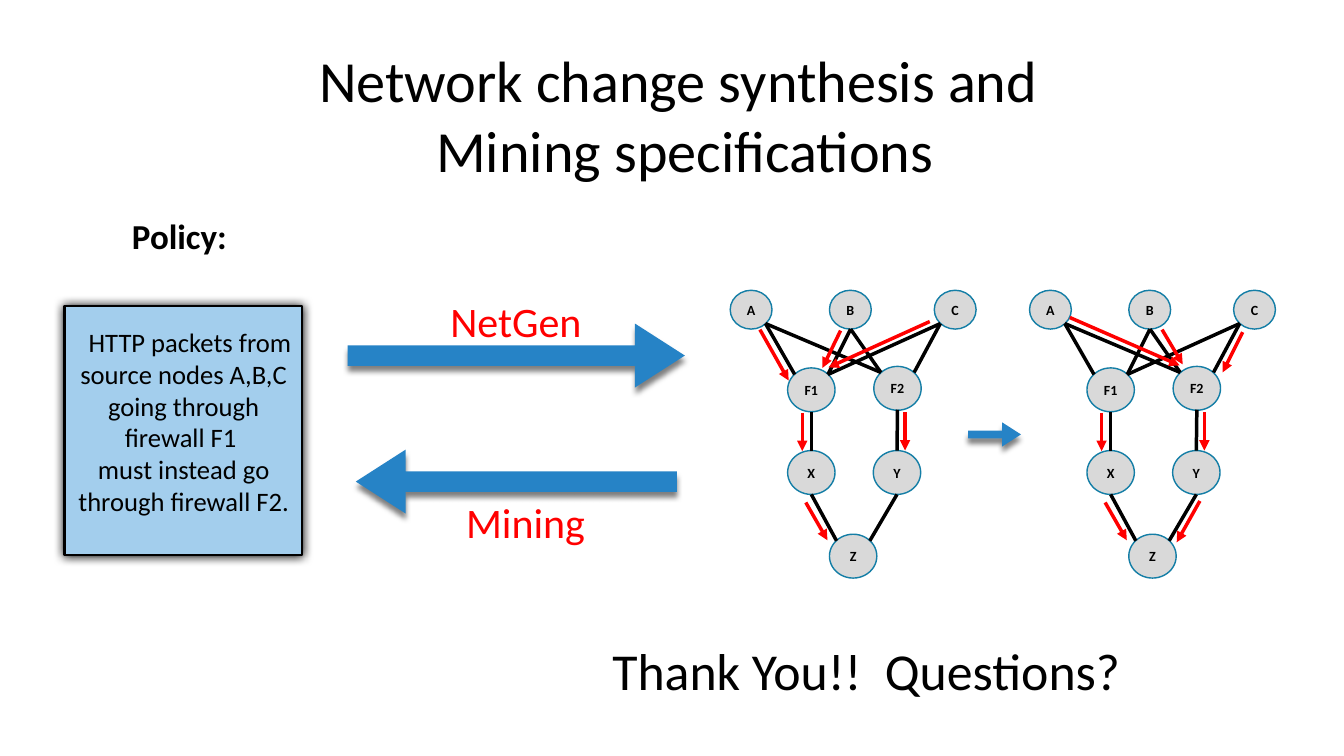
from lxml import etree
from pptx import Presentation
from pptx import util as u
from pptx.dml.color import RGBColor
from pptx.enum import shapes, text
from pptx.oxml.ns import qn

COLORS = {
    "text": "000000",
    "label": "FF0000",
    "edge": "000000",
    "flow": "FF0000",
    "arrow": "2683C6",
    "policy": "A3CEED",
    "node": "D9D9D9",
    "node_line": "147EA6",
    "shadow": "000000",
}
FONT = "Calibri"
CENTER = text.PP_ALIGN.CENTER
MIDDLE = text.MSO_ANCHOR.MIDDLE

NETWORK_TOP = 5.76
HOST_SIZE = (0.83, 0.77)
SWITCH_SIZE = (0.94, 0.87)
NODES = [
    ("A", 0, 0, HOST_SIZE),
    ("B", 1.97, 0, HOST_SIZE),
    ("C", 4.05, 0, HOST_SIZE),
    ("F1", 1.14, 1.54, SWITCH_SIZE),
    ("F2", 2.85, 1.51, SWITCH_SIZE),
    ("X", 1.14, 3.18, SWITCH_SIZE),
    ("Y", 2.84, 3.18, SWITCH_SIZE),
    ("Z", 1.97, 4.84, SWITCH_SIZE),
]
EDGES = [
    (0.7, 0.66, 1.28, 1.67),
    (4.17, 0.66, 3.65, 1.63),
    (2.39, 0.77, 2.99, 1.63),
    (2.39, 0.77, 1.94, 1.67),
    (1.61, 2.41, 1.61, 3.18),
    (3.31, 4.05, 2.77, 4.97),
    (1.61, 4.05, 2.11, 4.97),
    (3.32, 2.37, 3.31, 3.18),
    (4.17, 0.66, 1.94, 1.67),
    (0.7, 0.66, 2.99, 1.63),
]
SHARED_FLOWS = [
    (1.43, 2.43, 1.43, 3.19),
    (1.5, 4.21, 1.93, 4.96),
    (3.47, 2.42, 3.47, 3.18),
]
FLOWS_BEFORE = [
    (0.59, 0.78, 1.16, 1.79),
    (2.19, 0.8, 1.83, 1.54),
    (3.96, 0.62, 1.95, 1.53),
]
FLOWS_AFTER = [
    (0.8, 0.54, 2.98, 1.49),
    (2.63, 0.78, 3.04, 1.47),
    (4.23, 0.83, 3.83, 1.63),
    (3.38, 4.18, 2.92, 5.0),
]


def rgb(name):
    return RGBColor.from_string(COLORS[name])


def inches(values):
    return [u.Inches(value) for value in values]


def write(shape, lines, size, color="text", bold=False, align=CENTER,
          anchor=MIDDLE, margin=0.05):
    frame = shape.text_frame
    frame.word_wrap = True
    frame.vertical_anchor = anchor
    frame.margin_left = frame.margin_right = u.Inches(margin)
    frame.margin_top = frame.margin_bottom = u.Inches(margin)
    for index, line in enumerate(lines):
        paragraph = frame.paragraphs[0] if index == 0 else frame.add_paragraph()
        paragraph.alignment = align
        run = paragraph.add_run()
        run.text = line
        run.font.name = FONT
        run.font.size = u.Pt(size)
        run.font.bold = bold
        run.font.color.rgb = rgb(color)


def add_text(slide, box, lines, size, **style):
    shape = slide.shapes.add_textbox(*inches(box))
    write(shape, lines, size, **style)
    return shape


def add_filled(parent, kind, box, fill, line=None, width=2):
    shape = parent.shapes.add_shape(kind, *inches(box))
    shape.shadow.inherit = False
    shape.fill.solid()
    shape.fill.fore_color.rgb = rgb(fill)
    if line:
        shape.line.color.rgb = rgb(line)
        shape.line.width = u.Pt(width)
    else:
        shape.line.fill.background()
    return shape


def add_shadow(shape, alpha, blur, distance):
    effects = shape._element.spPr.find(qn("a:effectLst"))
    shadow = etree.SubElement(
        effects, qn("a:outerShdw"), blurRad=str(u.Pt(blur)),
        dist=str(u.Pt(distance)), dir="5400000", rotWithShape="0")
    color = etree.SubElement(shadow, qn("a:srgbClr"), val=COLORS["shadow"])
    etree.SubElement(color, qn("a:alpha"), val=str(alpha * 1000))


def add_block_arrow(slide, box, rotation=0):
    arrow = add_filled(slide, shapes.MSO_SHAPE.RIGHT_ARROW, box, "arrow")
    arrow.adjustments[0] = 0.32
    arrow.adjustments[1] = 0.78
    arrow.rotation = rotation
    add_shadow(arrow, 50, 8, 7.8)


def add_line(parent, ends, color, arrowhead=False):
    line = parent.shapes.add_connector(
        shapes.MSO_CONNECTOR.STRAIGHT, *inches(ends))
    line.line.color.rgb = rgb(color)
    line.line.width = u.Pt(5)
    properties = line._element.spPr
    if arrowhead:
        etree.SubElement(properties.find(qn("a:ln")), qn("a:tailEnd"), type="triangle")
    etree.SubElement(properties, qn("a:effectLst"))


def add_network(slide, left, flows):
    group = slide.shapes.add_group_shape()
    for name, x, y, size in NODES:
        node = add_filled(group, shapes.MSO_SHAPE.OVAL,
                          (left + x, NETWORK_TOP + y, *size), "node", "node_line")
        write(node, [name], 20, bold=True, margin=0)
    for lines, color, arrowhead in ((EDGES, "edge", False), (flows, "flow", True)):
        for x1, y1, x2, y2 in lines:
            ends = (left + x1, NETWORK_TOP + y1, left + x2, NETWORK_TOP + y2)
            add_line(group, ends, color, arrowhead)


def add_policy(slide):
    add_text(slide, (2.42, 4.2, 2.44, 0.95), ["Policy: "], 50, bold=True,
             anchor=text.MSO_ANCHOR.TOP)
    card = add_filled(slide, shapes.MSO_SHAPE.RECTANGLE,
                      (1.28, 6.07, 4.72, 4.94), "policy", "text", 3)
    add_shadow(card, 100, 15, 0.7)
    body = add_text(slide, (1.42, 5.64, 4.45, 5.44), [
        "HTTP packets from source nodes A,B,C",
        "going through firewall F1 ",
        "must instead go through firewall F2.",
    ], 38, margin=0)
    first = body.text_frame.paragraphs[0]._p.get_or_add_pPr()
    first.set("indent", str(u.Inches(0.25)))


def main():
    presentation = Presentation()
    presentation.slide_width = u.Inches(26.67)
    presentation.slide_height = u.Inches(15)
    slide = presentation.slides.add_slide(presentation.slide_layouts[6])

    add_text(slide, (2.09, 0.81, 23, 2.9),
             ["Network change synthesis and ", "Mining specifications"], 83.2)
    add_policy(slide)
    add_text(slide, (8.76, 5.85, 2.96, 1.01), ["NetGen"], 60,
             color="label", margin=0)
    add_block_arrow(slide, (6.9, 6.42, 6.69, 1.27))
    add_network(slide, 14.49, SHARED_FLOWS + FLOWS_BEFORE)
    add_network(slide, 20.43, SHARED_FLOWS + FLOWS_AFTER)
    add_text(slide, (8.95, 9.85, 2.96, 1.01), ["Mining"], 60,
             color="label", margin=0)
    add_block_arrow(slide, (7.06, 8.92, 6.37, 1.27), rotation=180)
    add_block_arrow(slide, (19.21, 8.38, 1.05, 0.48))
    add_text(slide, (12.09, 12.6, 10.89, 1.36), ["Thank You!!  Questions?"], 74,
             align=text.PP_ALIGN.LEFT, margin=0.06)
    presentation.save("out.pptx")


if __name__ == "__main__":
    main()
